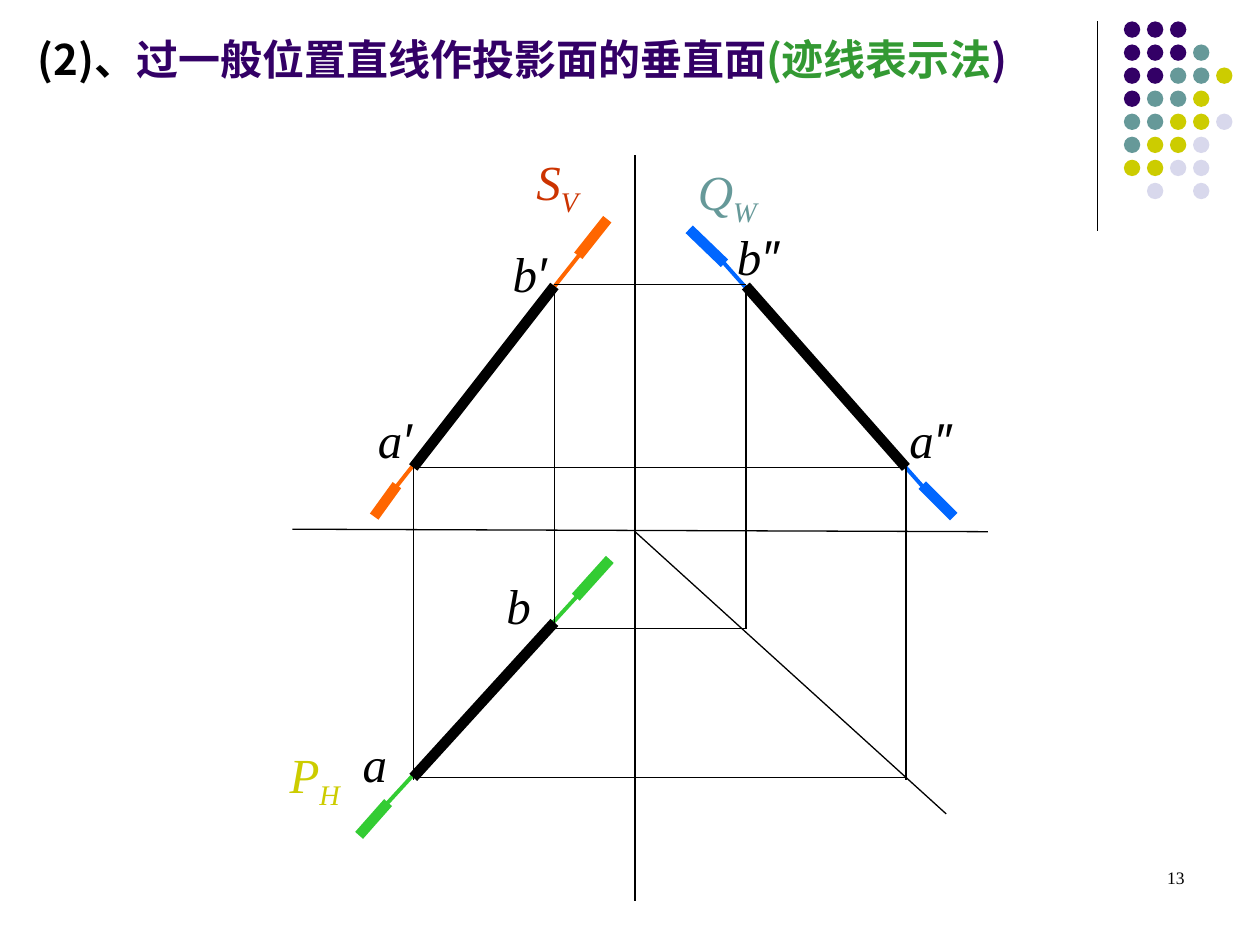
from lxml import etree
from pptx import Presentation
from pptx.dml.color import RGBColor
from pptx.enum.shapes import MSO_CONNECTOR, MSO_SHAPE
from pptx.enum.text import MSO_AUTO_SIZE, PP_ALIGN
from pptx.oxml.ns import qn
from pptx.util import Inches, Pt

STRAIGHT = MSO_CONNECTOR.STRAIGHT
OVAL = MSO_SHAPE.OVAL
GROW = MSO_AUTO_SIZE.SHAPE_TO_FIT_TEXT
FIXED = MSO_AUTO_SIZE.NONE
LEFT, RIGHT = PP_ALIGN.LEFT, PP_ALIGN.RIGHT

COLUMNS, ROWS = 100, 75
WIDTH, HEIGHT = Inches(10), Inches(7.5)
SERIF, SANS, CHINESE = "Times New Roman", "Arial", "Noto Sans CJK SC"
THIN, TRACE, THICK = 0.75, 2.25, 6

COLORS = {
    "black": "000000", "purple": "330066", "teal": "669999",
    "olive": "CCCC00", "lavender": "D8D8EC", "orange": "FF6600",
    "blue": "0066FF", "green": "33CC33", "red": "CC3300", "leaf": "339933",
}
DOT_COLORS = {"p": "purple", "t": "teal", "o": "olive", "l": "lavender"}
DOT_ROWS = ["ppp", "pppt", "pptto", "ptto", "ttool", "tool", "ooll", " l l"]

A_FRONT, B_FRONT = (32.8, 37.1), (44, 22.7)
A_TOP, B_TOP = (32.8, 61.7), (44, 49.4)
A_SIDE, B_SIDE = (71.9, 37.1), (59.2, 22.7)
AXIS = 50.4
B_DEPTH = 49.9

TRACES = [
    ("orange", (31.4, 38.7), (46.8, 19.2),
     [((48.2, 17.4), (45.9, 20.3)), ((29.7, 41), (31.5, 38.5))]),
    ("blue", (57.3, 20.7), (73.4, 38.8),
     [((75.7, 41), (73.2, 38.5)), ((54.7, 18.2), (57.5, 20.9))]),
    ("green", (29.5, 65.1), (47.2, 45.8),
     [((48.4, 44.4), (45.7, 47.4)), ((28.5, 66.3), (30.8, 63.7))]),
]
THIN_LINES = [
    ((87.1, 1.7), (87.1, 18.3)),
    ((AXIS, 71.5), (AXIS, 12.3)),
    ((78.4, 42.2), (23.2, 42)),
    ((AXIS, 42.2), (75.1, 64.6)),
    ((44, 22.6), (59.2, 22.6)),
    (A_FRONT, A_SIDE),
    ((44, B_DEPTH), (59.2, B_DEPTH)),
    (A_TOP, (71.9, 61.7)),
    ((44, B_DEPTH), B_FRONT),
    ((59.2, B_DEPTH), B_SIDE),
    ((32.8, 61.9), A_FRONT),
    ((71.9, 61.9), A_SIDE),
]
POINT_LABELS = [
    ("b", "″", 57.5, 17.5, 7.5), ("a", "″", 71.2, 32, 7.7),
    ("b", "′", 39.7, 18.8, 7.8), ("a", "′", 29, 32, 6.2),
    ("a", "", 27.8, 57.7, 7.3), ("b", "", 39.2, 45.2, 3.8),
]
PLANE_LABELS = [
    ("S", "V", "red", 41.6, 11.5, 11.3),
    ("Q", "W", "teal", 54.4, 12.3, 11.2),
    ("P", "H", "olive", 22, 58.6, 10.4),
]
TITLE = [
    ("(2)、", "black"), ("过一般位置直线作投影面的垂直面", "purple"),
    ("(迹线表示法", "leaf"), (")", "purple"),
]


def across(columns):
    """Return the length of a number of grid columns."""
    return round(WIDTH * columns / COLUMNS)


def down(rows):
    """Return the length of a number of grid rows."""
    return round(HEIGHT * rows / ROWS)


def rgb(name):
    """Return a named colour."""
    return RGBColor.from_string(COLORS[name])


def add_line(slide, start, end, color="black", weight=THIN):
    """Draw a straight line between two grid points."""
    line = slide.shapes.add_connector(
        STRAIGHT, across(start[0]), down(start[1]), across(end[0]), down(end[1]))
    line.line.color.rgb = rgb(color)
    line.line.width = Pt(weight)
    etree.SubElement(line._element.spPr, qn("a:effectLst"))


def add_dot(slide, column, row, color):
    """Draw one dot of the corner pattern."""
    dot = slide.shapes.add_shape(
        OVAL, across(column), down(row), across(1.3), down(1.3))
    dot.shadow.inherit = False
    dot.fill.solid()
    dot.fill.fore_color.rgb = rgb(color)
    dot.line.fill.background()


def add_dot_pattern(slide):
    """Draw the corner pattern of coloured dots."""
    pitch = 1.83
    for row, codes in enumerate(DOT_ROWS):
        for column, code in enumerate(codes):
            if code in DOT_COLORS:
                add_dot(slide, 89.2 + column * pitch, 1.7 + row * pitch,
                        DOT_COLORS[code])


def add_text_box(slide, left, top, width, height, alignment=LEFT, fit=GROW):
    """Add a wrapping text box and return its paragraph."""
    box = slide.shapes.add_textbox(
        across(left), down(top), across(width), down(height))
    box.text_frame.word_wrap = True
    box.text_frame.auto_size = fit
    paragraph = box.text_frame.paragraphs[0]
    paragraph.alignment = alignment
    return paragraph


def add_run(paragraph, text, size, color, font=SERIF, bold=False, italic=False):
    """Add a formatted run and return it."""
    run = paragraph.add_run()
    run.text = text
    run.font.size = Pt(size)
    run.font.name = font
    run.font.bold = bold
    run.font.italic = italic
    run.font.color.rgb = rgb(color)
    return run


def add_point_label(slide, letter, prime, left, top, width):
    """Label a projected point, with its prime marks if any."""
    paragraph = add_text_box(slide, left, top, width, 5.7)
    add_run(paragraph, letter, 28, "black", italic=True)
    if prime:
        add_run(paragraph, prime, 28, "black", SANS, italic=True)


def add_plane_label(slide, letter, index, color, left, top, width):
    """Label a plane trace with a subscript index."""
    paragraph = add_text_box(slide, left, top, width, 6.3)
    add_run(paragraph, letter, 28, color, italic=True)
    subscript = add_run(paragraph, index, 28, color, italic=True)
    subscript.font._element.set("baseline", "-25000")


def add_title(slide):
    """Add the coloured heading."""
    paragraph = add_text_box(slide, 2, 2.2, 81.4, 9)
    for text, color in TITLE:
        run = add_run(paragraph, text, 24, color, CHINESE, bold=True)
        east_asian = etree.SubElement(run.font._element, qn("a:ea"))
        east_asian.set("typeface", CHINESE)


def add_trace(slide, color, start, end, marks):
    """Draw a plane trace with its two thick end marks."""
    add_line(slide, start, end, color, TRACE)
    for mark_start, mark_end in marks:
        add_line(slide, mark_start, mark_end, color, THICK)


def main():
    """Build and save the slide."""
    presentation = Presentation()
    presentation.slide_width, presentation.slide_height = WIDTH, HEIGHT
    slide = presentation.slides.add_slide(presentation.slide_layouts[6])
    add_dot_pattern(slide)
    for trace in TRACES:
        add_trace(slide, *trace)
    for start, end in THIN_LINES:
        add_line(slide, start, end)
    for start, end in [(A_FRONT, B_FRONT), (A_TOP, B_TOP), (A_SIDE, B_SIDE)]:
        add_line(slide, start, end, weight=THICK)
    for label in POINT_LABELS:
        add_point_label(slide, *label)
    for label in PLANE_LABELS:
        add_plane_label(slide, *label)
    add_title(slide)
    number = add_text_box(slide, 71.7, 68.3, 23.3, 5, RIGHT, FIXED)
    add_run(number, "13", 10, "black")
    presentation.save("out.pptx")


if __name__ == "__main__":
    main()
